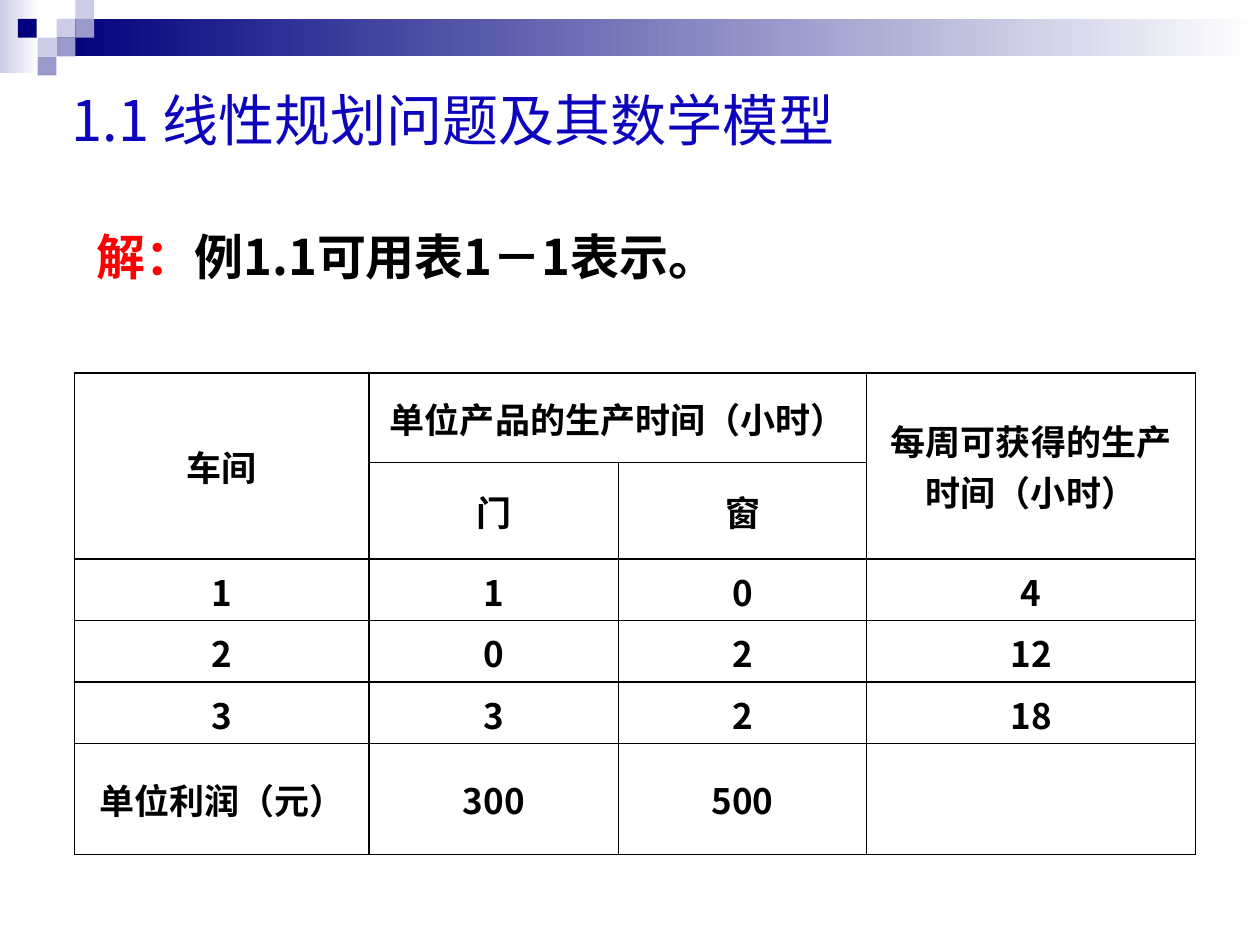
"""Build the slide that tabulates example 1.1 of linear programming."""
from lxml import etree
from pptx import Presentation, util as u
from pptx.dml.color import RGBColor
from pptx.enum import shapes, text
from pptx.oxml import ns

FONT = "Noto Sans CJK SC"
NAVY, LILAC, VIOLET, WHITE, BLACK = "00007D", "CCCCE6", "9999CC", "FFFFFF", "000000"


def rgb(code):
    return RGBColor.from_string(code)


def add_run(paragraph, wording, size, color, bold):
    run = paragraph.add_run()
    run.text = wording
    run.font.size, run.font.bold, run.font.name = u.Pt(size), bold, FONT
    run.font.color.rgb = rgb(color)
    etree.SubElement(run.font._element, ns.qn("a:ea"), typeface=FONT)


deck = Presentation()
deck.slide_width, deck.slide_height = u.Cm(25.4), u.Cm(19.05)
slide = deck.slides.add_slide(deck.slide_layouts[6])

unit = 0.38
header = [
    (0, 0, 0.79, 1.47, (LILAC, WHITE)),
    (1.14, unit, 24.26, 2 * unit, (NAVY, WHITE)),
]
mosaic = [
    (1.14, 1, LILAC), (1.52, 0, LILAC), (1.52, 1, VIOLET), (0.76, 2, LILAC),
    (0.36, 1, NAVY), (1.14, 2, VIOLET), (0.76, 3, VIOLET),
]
header += [(left, row * unit, unit, unit, (color,)) for left, row, color in mosaic]
for left, top, width, height, colors in header:
    block = slide.shapes.add_shape(
        shapes.MSO_SHAPE.RECTANGLE, u.Cm(left), u.Cm(top), u.Cm(width), u.Cm(height))
    block.shadow.inherit = False
    block.line.fill.background()
    if len(colors) == 1:
        block.fill.solid()
        block.fill.fore_color.rgb = rgb(colors[0])
    else:
        block.fill.gradient()
        block.fill.gradient_angle = 0
        for stop, color in zip(block.fill.gradient_stops, colors):
            stop.color.rgb = rgb(color)

title = slide.shapes.add_textbox(u.Cm(1.2), u.Cm(1.62), u.Cm(16.44), u.Cm(1.56)).text_frame
title.word_wrap = True
title.vertical_anchor = text.MSO_ANCHOR.MIDDLE
add_run(title.paragraphs[0], "1.1 线性规划问题及其数学模型", 32, "0D04BE", False)

solution = slide.shapes.add_textbox(u.Cm(1.7), u.Cm(4.57), u.Cm(20.02), u.Cm(1.6)).text_frame
solution.word_wrap = True
sentence = solution.paragraphs[0]
sentence.alignment = text.PP_ALIGN.JUSTIFY
sentence.line_spacing = 0.9
add_run(sentence, "解：", 28, "FF0000", True)
add_run(sentence, "例1.1可用表1－1表示。", 28, BLACK, True)

rows = [
    ["车间", "单位产品的生产时间（小时）", "", "每周可获得的生产时间（小时）"],
    ["", "门", "窗", ""],
    ["1", "1", "0", "4"],
    ["2", "0", "2", "12"],
    ["3", "3", "2", "18"],
    ["单位利润（元）", "300", "500", ""],
]
widths = [5.94, 5.03, 5, 6.63]
heights = [1.8, 1.24, 1.24, 1.24, 1.24, 2.24]
workshops = slide.shapes.add_table(
    len(rows), len(widths), u.Cm(1.5), u.Cm(7.52), u.Cm(sum(widths)), u.Cm(sum(heights))).table
for column, width in zip(workshops.columns, widths):
    column.width = u.Cm(width)
for line, height in zip(workshops.rows, heights):
    line.height = u.Cm(height)

for r, row in enumerate(rows):
    for c, wording in enumerate(row):
        cell = workshops.cell(r, c)
        cell.vertical_anchor = text.MSO_ANCHOR.MIDDLE
        borders = cell._tc.get_or_add_tcPr()
        for side in ("lnL", "lnR", "lnT", "lnB"):
            edge = etree.SubElement(borders, ns.qn(f"a:{side}"), w=str(u.Pt(1)))
            paint = etree.SubElement(edge, ns.qn("a:solidFill"))
            etree.SubElement(paint, ns.qn("a:srgbClr"), val=BLACK)
        cell.fill.background()
        entry = cell.text_frame.paragraphs[0]
        entry.alignment = text.PP_ALIGN.CENTER
        if wording:
            add_run(entry, wording, 20, BLACK, True)

for first, last in [((0, 0), (1, 0)), ((0, 1), (0, 2)), ((0, 3), (1, 3))]:
    workshops.cell(*first).merge(workshops.cell(*last))

deck.save("out.pptx")
